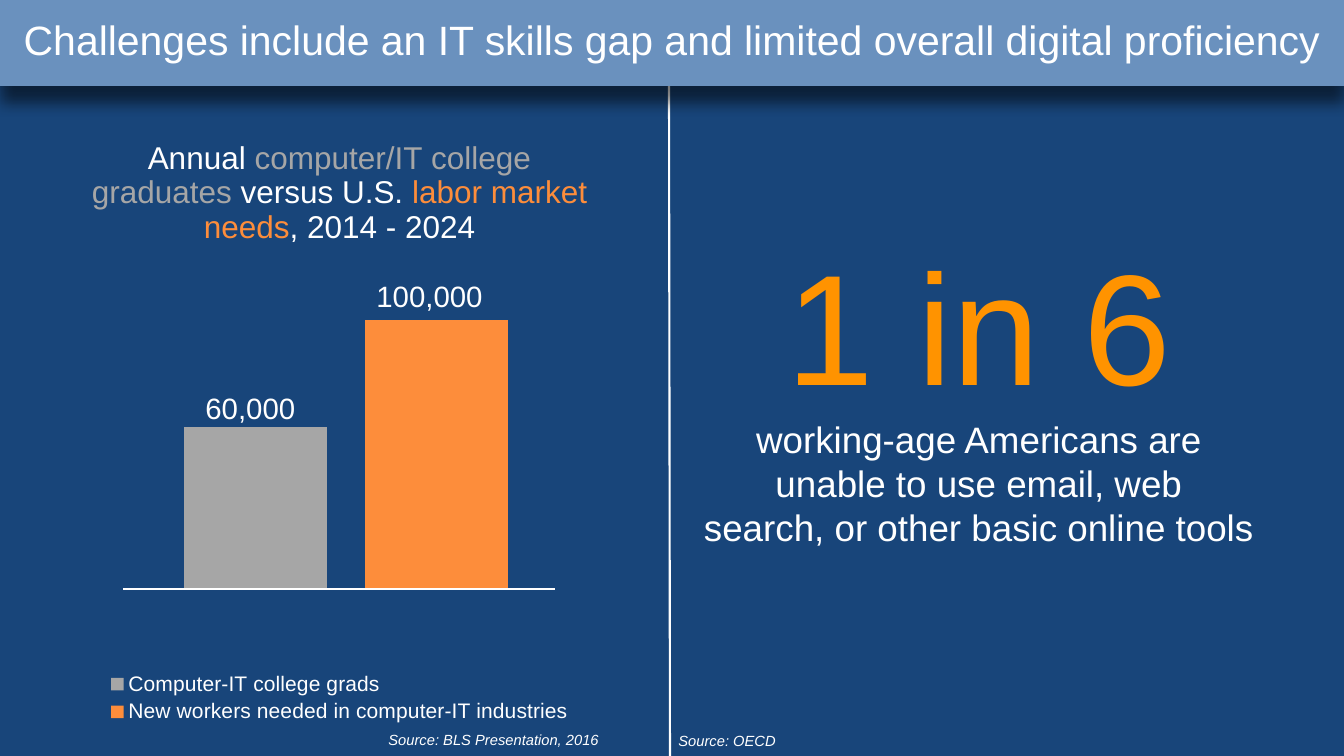
"""Build a slide on the IT skills gap and limited digital proficiency."""
from lxml import etree
from pptx import Presentation
from pptx.chart.data import CategoryChartData
from pptx.dml.color import RGBColor
from pptx.enum.chart import XL_CHART_TYPE, XL_LEGEND_POSITION
from pptx.enum.shapes import MSO_CONNECTOR, MSO_SHAPE
from pptx.enum.text import MSO_ANCHOR, MSO_AUTO_SIZE, PP_ALIGN
from pptx.oxml import parse_xml
from pptx.oxml.ns import nsdecls, qn
from pptx.util import Pt

PX = 914400 / 75.6
COLUMNS = XL_CHART_TYPE.COLUMN_CLUSTERED
BOTTOM = XL_LEGEND_POSITION.BOTTOM
STRAIGHT = MSO_CONNECTOR.STRAIGHT
RECTANGLE = MSO_SHAPE.RECTANGLE
TOP, MIDDLE = MSO_ANCHOR.TOP, MSO_ANCHOR.MIDDLE
LEFT, CENTER = PP_ALIGN.LEFT, PP_ALIGN.CENTER
NO_AUTOFIT = MSO_AUTO_SIZE.NONE
FONT = "Arial"
NAVY, STEEL, WHITE = "18457A", "6A91BE", "FFFFFF"
GRAY, ORANGE, AMBER = "A6A6A6", "FD8D3B", "FF9300"


def px(*lengths):
    return [round(length * PX) for length in lengths]


def add_text(paragraph, text, size, color=WHITE, italic=False, align=LEFT):
    paragraph.alignment = align
    run = paragraph.add_run()
    run.text = text
    run.font.name = FONT
    run.font.size = Pt(size)
    run.font.bold = False
    run.font.italic = italic
    run.font.color.rgb = RGBColor.from_string(color)


presentation = Presentation()
presentation.slide_width, presentation.slide_height = px(1344, 756)
slide = presentation.slides.add_slide(presentation.slide_layouts[5])
slide.background.fill.solid()
slide.background.fill.fore_color.rgb = RGBColor.from_string(NAVY)
shapes = slide.shapes

divider = shapes.add_connector(STRAIGHT, *px(670, 756, 669, 55))

chart_data = CategoryChartData()
chart_data.categories = ["1"]
chart_data.add_series("Computer-IT college grads", [60])
chart_data.add_series("New workers needed in computer-IT industries", [100])
chart = shapes.add_chart(COLUMNS, *px(8, 121, 663, 607), chart_data).chart
chart.font.name = FONT
chart.font.size = Pt(10)
chart.font.color.rgb = RGBColor.from_string(WHITE)

chart.has_title = True
chart_title = chart.chart_title.text_frame.paragraphs[0]
for text, color in [
    ("Annual ", WHITE),
    ("computer/IT college graduates", GRAY),
    (" versus U.S. ", WHITE),
    ("labor market needs", ORANGE),
    (", 2014 - 2024", WHITE),
]:
    add_text(chart_title, text, 30, color=color, align=CENTER)

chart.has_legend = True
chart.legend.position = BOTTOM
chart.legend.include_in_layout = False
chart.legend.font.name = FONT
chart.legend.font.size = Pt(20)
chart.legend.font.color.rgb = RGBColor.from_string(WHITE)

chart.category_axis.visible = False
chart.value_axis.visible = False
chart.value_axis.has_major_gridlines = False
chart.value_axis.minimum_scale = 0
chart.value_axis.maximum_scale = 120

plot = chart.plots[0]
plot.gap_width = 219
plot.overlap = -27
plot.vary_by_categories = False
for series, color in zip(plot.series, [GRAY, ORANGE]):
    series.format.fill.solid()
    series.format.fill.fore_color.rgb = RGBColor.from_string(color)

plot_area = chart.element.find(f".//{qn('c:plotArea')}")
for layout in plot_area.findall(qn("c:layout")):
    plot_area.remove(layout)
plot_area.insert(0, parse_xml(
    f'<c:layout {nsdecls("c")}><c:manualLayout><c:layoutTarget val="inner"/>'
    '<c:xMode val="edge"/><c:yMode val="edge"/><c:x val="0.03"/><c:y val="0.24"/>'
    '<c:w val="0.96"/><c:h val="0.53"/></c:manualLayout></c:layout>'))

header = shapes.add_shape(RECTANGLE, *px(0, 0, 1344, 86))
header.fill.solid()
header.fill.fore_color.rgb = RGBColor.from_string(STEEL)
header.line.fill.background()
header.shadow.inherit = False
header_effects = header.element.spPr.find(qn("a:effectLst"))
header_effects.append(parse_xml(
    f'<a:outerShdw {nsdecls("a")} blurRad="{Pt(14)}" dist="{Pt(14.7)}" dir="5400000">'
    '<a:srgbClr val="000000"><a:alpha val="52000"/></a:srgbClr></a:outerShdw>'))

title = shapes.title
title.left, title.top, title.width, title.height = px(0, 11, 1344, 56)
title_frame = title.text_frame
title_frame.auto_size = NO_AUTOFIT
title_frame.vertical_anchor = MIDDLE
title_frame.margin_left, title_frame.margin_right = px(3, 3)
title_frame.margin_top, title_frame.margin_bottom = px(3, 3)
add_text(title_frame.paragraphs[0],
         "Challenges include an IT skills gap and limited overall digital proficiency",
         39, align=CENTER)
header.element.addnext(title.element)

for text, box, size, italic in [
    ("60,000", (198, 386, 126, 43), 28, False),
    ("100,000", (369, 274, 149, 43), 28, False),
    ("Source: BLS Presentation, 2016", (381, 727, 288, 26), 14, True),
    ("Source: OECD", (671, 728, 288, 26), 14, True),
]:
    label = shapes.add_textbox(*px(*box))
    label.text_frame.word_wrap = True
    label.text_frame.vertical_anchor = TOP
    add_text(label.text_frame.paragraphs[0], text, size, italic=italic)

statistic = shapes.add_textbox(*px(693, 222, 572, 333))
statistic_frame = statistic.text_frame
statistic_frame.word_wrap = True
statistic_frame.vertical_anchor = MIDDLE
statistic_frame.margin_left, statistic_frame.margin_right = px(5, 5)
statistic_frame.margin_top, statistic_frame.margin_bottom = px(5, 5)
add_text(statistic_frame.paragraphs[0], "1 in 6", 150, color=AMBER, align=CENTER)
for text in [
    "working-age Americans are unable to use email, web",
    "search, or other basic online tools",
]:
    add_text(statistic_frame.add_paragraph(), text, 35, align=CENTER)

baseline = shapes.add_connector(STRAIGHT, *px(555, 589, 123, 589))
for connector in (divider, baseline):
    connector.line.color.rgb = RGBColor.from_string(WHITE)
    connector.line.width = Pt(2)
    etree.SubElement(connector.element.spPr, qn("a:effectLst"))

presentation.save("out.pptx")
